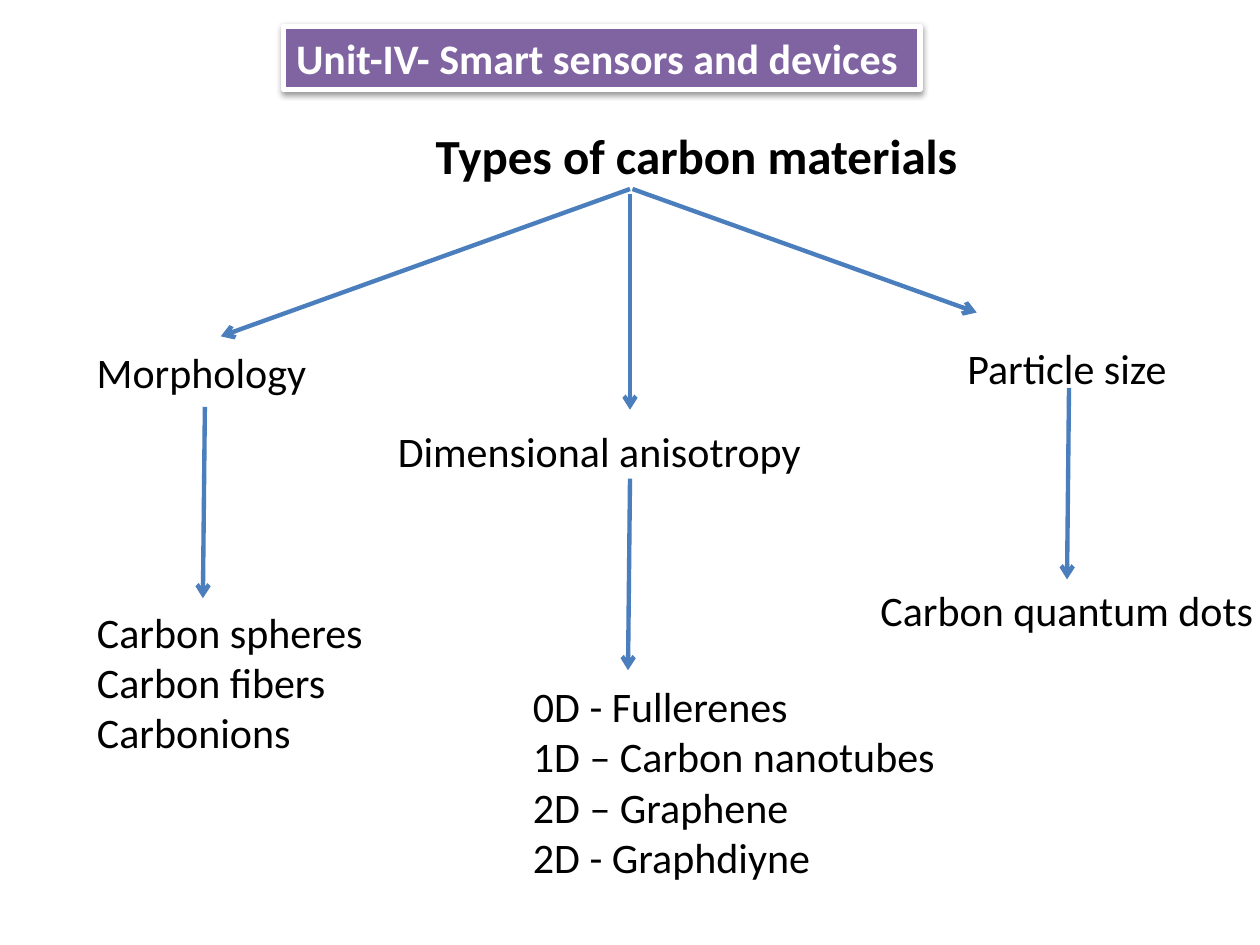
import pptx
import pptx.util
import pptx.dml.color
import pptx.enum.shapes
import pptx.enum.text
import pptx.oxml
import pptx.oxml.ns
from dataclasses import dataclass
from lxml import etree

Cm, Pt = pptx.util.Cm, pptx.util.Pt
RGB = pptx.dml.color.RGBColor.from_string
ALIGN = pptx.enum.text.PP_ALIGN


@dataclass(frozen=True)
class Theme:
    font: str = "Calibri"
    ink: str = "000000"
    light: str = "FFFFFF"
    banner: str = "8064A2"
    arrow: str = "4B7EBC"
    title_size: int = 28
    text_size: int = 24
    arrow_width: float = 2.5
    border_width: float = 3


THEME = Theme()
SHADOW = (
    f'<a:effectLst {pptx.oxml.ns.nsdecls("a")}>'
    '<a:outerShdw blurRad="40000" dist="20000" dir="5400000" rotWithShape="0">'
    '<a:srgbClr val="000000"><a:alpha val="38000"/></a:srgbClr>'
    '</a:outerShdw></a:effectLst>'
)


def apply(target, values):
    for name, value in values.items():
        setattr(target, name, value)


def place(sp, box):
    apply(sp, dict(zip(("left", "top", "width", "height"), map(Cm, box))))


def write(sp, lines, size=THEME.text_size, color=THEME.ink, bold=False,
          align=ALIGN.LEFT):
    tf = sp.text_frame
    apply(tf, {
        "word_wrap": False,
        "auto_size": pptx.enum.text.MSO_AUTO_SIZE.SHAPE_TO_FIT_TEXT,
        "vertical_anchor": pptx.enum.text.MSO_ANCHOR.TOP,
    })
    for i, line in enumerate(lines):
        p = tf.paragraphs[0] if i == 0 else tf.add_paragraph()
        apply(p, {"alignment": align, "space_before": Pt(0)})
        if sp.is_placeholder:
            pPr = p._p.get_or_add_pPr()
            pPr.set("marL", "0")
            pPr.set("indent", "0")
            etree.SubElement(pPr, pptx.oxml.ns.qn("a:buNone"))
        r = p.add_run()
        r.text = line
        apply(r.font, {"name": THEME.font, "size": Pt(size), "bold": bold})
        r.font.color.rgb = RGB(color)


def add_text(s, box, lines):
    sp = s.shapes.add_textbox(*map(Cm, box))
    write(sp, lines)


def add_arrow(s, start, end):
    c = s.shapes.add_connector(pptx.enum.shapes.MSO_CONNECTOR.STRAIGHT,
                               *map(Cm, (*start, *end)))
    c.line.color.rgb = RGB(THEME.arrow)
    c.line.width = Pt(THEME.arrow_width)
    etree.SubElement(c.line._get_or_add_ln(), pptx.oxml.ns.qn("a:tailEnd"),
                     type="arrow")
    etree.SubElement(c._element.spPr, pptx.oxml.ns.qn("a:effectLst"))


def add_banner(s, box, text):
    sp = s.shapes.add_shape(pptx.enum.shapes.MSO_SHAPE.RECTANGLE, *map(Cm, box))
    sp.fill.solid()
    sp.fill.fore_color.rgb = RGB(THEME.banner)
    sp.line.color.rgb = RGB(THEME.light)
    sp.line.width = Pt(THEME.border_width)
    sp._element.spPr.append(pptx.oxml.parse_xml(SHADOW))
    write(sp, [text], color=THEME.light, bold=True, align=ALIGN.JUSTIFY)


def add_title(s, box, text):
    sp = s.shapes.title
    place(sp, box)
    write(sp, [text], size=THEME.title_size, bold=True)


def add_branch(s, box, heading, items, root, tip, stem, list_box, body=None):
    x, y = box[:2]
    add_arrow(s, root, (x + tip[0], y + tip[1]))
    add_text(s, box, [heading])
    start = (x + stem[0], y + stem[1])
    add_arrow(s, start, (start[0] - 0.04, start[1] + 3.86))
    dx, dy, w, h = list_box
    items_box = (x + dx, y + dy, w, h)
    if body is None:
        add_text(s, items_box, items)
    else:
        place(body, items_box)
        write(body, items)


def main():
    prs = pptx.Presentation()
    apply(prs, {"slide_width": Cm(25.4), "slide_height": Cm(19.05)})
    s = prs.slides.add_slide(prs.slide_layouts.get_by_name("Two Content"))
    left_body, middle_body = s.placeholders[1], s.placeholders[2]

    add_banner(s, (5.72, 0.53, 12.83, 1.27), "Unit-IV- Smart sensors and devices")
    add_title(s, (8.53, 2.41, 11.15, 1.45), "Types of carbon materials")
    add_branch(s, (1.7, 6.86, 4.78, 1.27), "Morphology",
               ["Carbon spheres", "Carbon fibers", "Carbonions"],
               root=(12.7, 3.81), tip=(2.75, -0.08), stem=(2.43, 1.34),
               list_box=(0, 5.23, 5.92, 3.33), body=left_body)
    add_branch(s, (7.77, 8.46, 8.71, 1.27), "Dimensional anisotropy",
               ["0D - Fullerenes", "1D – Carbon nanotubes",
                "2D – Graphene", "2D - Graphdiyne"],
               root=(12.7, 3.91), tip=(4.93, -0.2), stem=(4.93, 1.19),
               list_box=(2.72, 5.13, 8.69, 4.37), body=middle_body)
    add_branch(s, (19.25, 6.78, 4.57, 1.27), "Particle size",
               ["Carbon quantum dots"],
               root=(12.75, 3.81), tip=(0.44, -0.48), stem=(2.3, 1.04),
               list_box=(-1.75, 4.88, 8.1, 1.27))
    prs.save("out.pptx")


if __name__ == "__main__":
    main()
